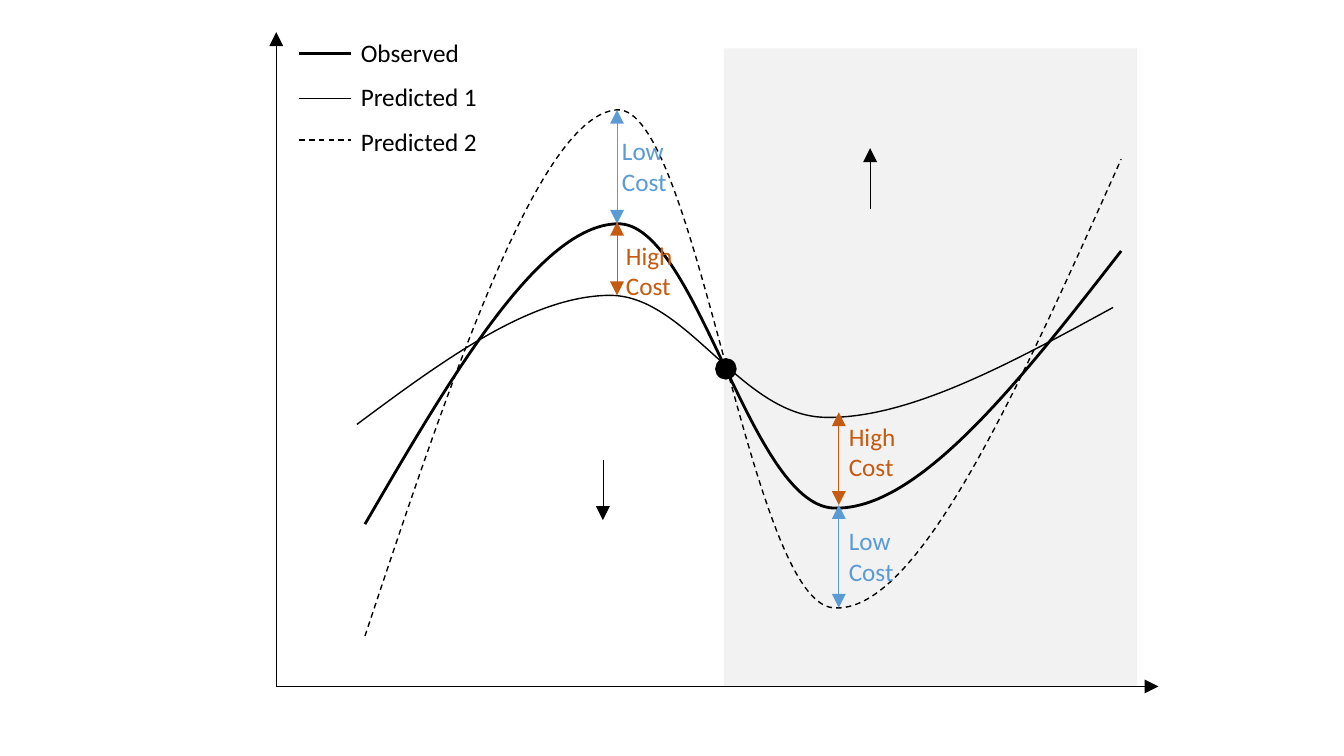
from lxml import etree
from pptx import Presentation
from pptx.dml.color import RGBColor
from pptx.enum.dml import MSO_LINE
from pptx.enum.shapes import MSO_CONNECTOR, MSO_SHAPE
from pptx.enum.text import MSO_ANCHOR, PP_ALIGN
from pptx.oxml.ns import qn
from pptx.util import Inches, Pt

STRAIGHT = MSO_CONNECTOR.STRAIGHT
RECTANGLE = MSO_SHAPE.RECTANGLE
OVAL = MSO_SHAPE.OVAL
DASH = MSO_LINE.DASH
MIDDLE = MSO_ANCHOR.MIDDLE
LEFT = PP_ALIGN.LEFT

COLORS = {"black": "000000", "white": "FFFFFF", "band": "F2F2F2",
          "low": "5B9BD5", "high": "C55A11"}
FONT_NAME = "Calibri"
FONT_SIZE = 18

LEGEND_LINE_LEFT, LEGEND_LABEL_LEFT = 2.97, 3.48
LEGEND = [
    ("Observed", 0.37, 1.42, 0.3, 0.53, 2, None),
    ("Predicted 1", 0.83, 1.42, 0.25, 0.98, 1, None),
    ("Predicted 2", 1.26, 1.76, 0.28, 1.39, 1, DASH),
]

BAND = (7.18, 0.48, 4.1, 6.33)
CROSSING = (7.1, 3.56, 0.2, 0.2)
ORIGIN = (2.74, 6.81)
AXIS_ENDS = [(2.74, 0.32), (11.49, 6.81)]

CURVES = [
    (2, None,
     [(3.62, 5.2), (4.48, 3.72), (5.35, 2.24), (6.12, 2.22), (6.9, 2.19),
      (7.43, 4.99), (8.26, 5.04), (9.1, 5.08), (10.11, 3.79), (11.12, 2.49)]),
    (1, DASH,
     [(3.62, 6.31), (4.48, 3.73), (5.35, 1.14), (6.12, 1.09), (6.9, 1.05),
      (7.43, 5.95), (8.26, 6.03), (9.1, 6.11), (10.11, 3.84), (11.12, 1.58)]),
    (1, None,
     [(3.54, 4.21), (4.4, 3.57), (5.26, 2.94), (6.04, 2.93), (6.81, 2.92),
      (7.34, 4.12), (8.18, 4.14), (9.01, 4.16), (10.03, 3.6), (11.04, 3.05)]),
]

COST_GAPS = [
    ("low", 6.12, 2.22, 1.09),
    ("high", 6.12, 2.93, 2.2),
    ("low", 8.32, 6.03, 5.01),
    ("high", 8.32, 5.01, 4.09),
]
COST_LABELS = [
    ("High Cost", "high", 8.32, 4.12, 0.79),
    ("Low Cost", "low", 8.32, 5.16, 0.79),
    ("Low Cost", "low", 6.07, 1.29, 0.72),
    ("High Cost", "high", 6.11, 2.33, 0.76),
]
COST_LABEL_HEIGHT = 0.71
DIRECTIONS = [((5.98, 4.56), (5.98, 5.16)), ((8.63, 2.07), (8.63, 1.47))]


def rgb(color):
    return RGBColor.from_string(COLORS[color])


def style_line(line, color, width, dash=None):
    line.color.rgb = rgb(color)
    line.width = Pt(width)
    if dash:
        line.dash_style = dash


def add_line(slide, start, end, color="black", width=0.5, dash=None, arrows=()):
    connector = slide.shapes.add_connector(
        STRAIGHT, *(Inches(value) for value in (*start, *end)))
    style_line(connector.line, color, width, dash)
    properties = connector._element.spPr
    outline = properties.find(qn("a:ln"))
    for arrow in arrows:
        etree.SubElement(outline, qn(f"a:{arrow}"), type="triangle", w="lg", len="lg")
    etree.SubElement(properties, qn("a:effectLst"))


def add_preset(slide, preset, box, fill, outline=None):
    shape = slide.shapes.add_shape(preset, *(Inches(value) for value in box))
    shape.shadow.inherit = False
    shape.fill.solid()
    shape.fill.fore_color.rgb = rgb(fill)
    if outline:
        style_line(shape.line, outline, 1)
    else:
        shape.line.fill.background()
    return shape


def write_text(shape, text, color):
    frame = shape.text_frame
    frame.word_wrap = True
    frame.vertical_anchor = MIDDLE
    paragraph = frame.paragraphs[0]
    paragraph.alignment = LEFT
    run = paragraph.add_run()
    run.text = text
    run.font.name = FONT_NAME
    run.font.size = Pt(FONT_SIZE)
    run.font.color.rgb = rgb(color)


def add_curve(slide, width, dash, points):
    start, *rest = [(Inches(x), Inches(y)) for x, y in points]
    builder = slide.shapes.build_freeform(*start, scale=1.0)
    builder.add_line_segments(rest, close=False)
    curve = builder.convert_to_shape()
    curve.shadow.inherit = False
    curve.fill.background()
    style_line(curve.line, "black", width, dash)
    outline = next(curve._element.iter(qn("a:path")))
    segments = outline.findall(qn("a:lnTo"))
    for first in range(0, len(segments), 3):
        bezier = etree.SubElement(outline, qn("a:cubicBezTo"))
        for segment in segments[first:first + 3]:
            bezier.append(segment[0])
            outline.remove(segment)


def add_legend(slide):
    for text, top, label_width, height, line_y, width, dash in LEGEND:
        box = (LEGEND_LABEL_LEFT, top, label_width, height)
        label = add_preset(slide, RECTANGLE, box, "white", "white")
        write_text(label, text, "black")
        add_line(slide, (LEGEND_LINE_LEFT, line_y), (LEGEND_LABEL_LEFT, line_y),
                 width=width, dash=dash)


def main():
    presentation = Presentation()
    presentation.slide_width = Inches(13.33)
    presentation.slide_height = Inches(7.5)
    slide = presentation.slides.add_slide(presentation.slide_layouts[6])

    add_legend(slide)
    add_preset(slide, RECTANGLE, BAND, "band")
    for end in AXIS_ENDS:
        add_line(slide, ORIGIN, end, arrows=("tailEnd",))
    for curve in CURVES:
        add_curve(slide, *curve)
    add_preset(slide, OVAL, CROSSING, "black", "black")
    for color, x, bottom, top in COST_GAPS:
        add_line(slide, (x, bottom), (x, top), color, arrows=("headEnd", "tailEnd"))
    for text, color, left, top, width in COST_LABELS:
        label = slide.shapes.add_textbox(
            Inches(left), Inches(top), Inches(width), Inches(COST_LABEL_HEIGHT))
        write_text(label, text, color)
    for start, end in DIRECTIONS:
        add_line(slide, start, end, arrows=("tailEnd",))

    presentation.save("out.pptx")


if __name__ == "__main__":
    main()
